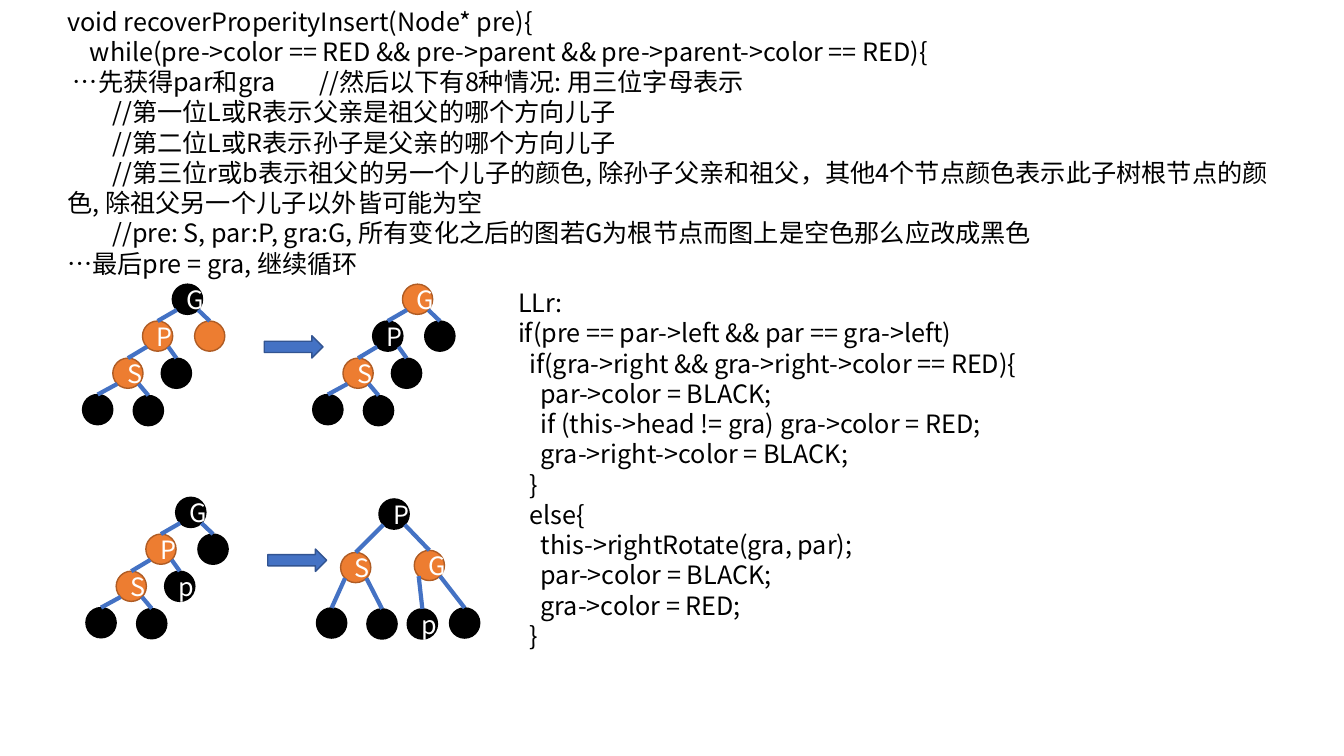
import lxml.etree
import pptx
import pptx.dml.color
import pptx.enum.shapes
import pptx.enum.text
import pptx.oxml.ns
import pptx.util

Pt = pptx.util.Pt
RGBColor = pptx.dml.color.RGBColor
SHAPE = pptx.enum.shapes.MSO_SHAPE
qn = pptx.oxml.ns.qn

BLACK = RGBColor(0x00, 0x00, 0x00)
WHITE = RGBColor(0xFF, 0xFF, 0xFF)
ORANGE = RGBColor(0xED, 0x7D, 0x31)
ORANGE_EDGE = RGBColor(0xAF, 0x5C, 0x24)
BLUE = RGBColor(0x44, 0x72, 0xC4)
BLUE_EDGE = RGBColor(0x32, 0x54, 0x91)

FONT = "Noto Sans CJK SC"
FONT_FORMAT = {"name": FONT, "size": Pt(18)}
FRAME_FORMAT = {
    "word_wrap": True,
    "auto_size": pptx.enum.text.MSO_AUTO_SIZE.SHAPE_TO_FIT_TEXT,
}
SPACE = 4.03
COMMENT_TAB = 178
NODE = 21.6
DIAGONAL = 0.7071

INTRO = [
    (0, "void recoverProperityInsert(Node* pre){"),
    (4, "while(pre->color == RED && pre->parent && pre->parent->color == RED){"),
    (1, "…先获得par和gra\t//然后以下有8种情况: 用三位字母表示"),
    (8, "//第一位L或R表示父亲是祖父的哪个方向儿子"),
    (8, "//第二位L或R表示孙子是父亲的哪个方向儿子"),
    (8, "//第三位r或b表示祖父的另一个儿子的颜色, 除孙子父亲和祖父，其他4个节点颜色"
        "表示此子树根节点的颜色, 除祖父另一个儿子以外皆可能为空"),
    (8, "//pre: S, par:P, gra:G, 所有变化之后的图若G为根节点而图上是空色那么应改成黑色"),
    (0, "…最后pre = gra, 继续循环"),
]
CASE_LL = [
    (0, "LLr:"),
    (0, "if(pre == par->left && par == gra->left)"),
    (2, "if(gra->right && gra->right->color == RED){"),
    (4, "par->color = BLACK;"),
    (4, "if (this->head != gra) gra->color = RED;"),
    (4, "gra->right->color = BLACK;"),
    (2, "}"),
    (2, "else{"),
    (4, "this->rightRotate(gra, par);"),
    (4, "par->color = BLACK;"),
    (4, "gra->color = RED;"),
    (2, "}"),
]

SKEWED = {
    "offsets": [(0, 0), (-21.3, 26.3), (15.9, 26.3), (-42.5, 52.8),
                (-7.9, 52.8), (-64.1, 78.8), (-27.9, 79.5)],
    "edges": [(0, 1), (0, 2), (1, 3), (1, 4), (3, 5), (3, 6)],
}
BALANCED = {
    "offsets": [(0, 0), (-27.4, 38.2), (25.2, 36.7), (-44.6, 77.8),
                (-8.6, 78.5), (20.2, 78.5), (50.4, 77.8)],
    "edges": [(0, 1), (0, 2), (1, 3), (1, 4), (2, 5), (2, 6)],
}
TREES = [
    (SKEWED, 123.1, 203, ["G", "P", "", "S", "", "", ""], {1, 2, 3}),
    (SKEWED, 287.5, 203, ["G", "P", "", "S", "", "", ""], {0, 3}),
    (SKEWED, 125.5, 355.2, ["G", "P", "", "S", "p", "", ""], {1, 3}),
    (BALANCED, 270.7, 356.4, ["P", "S", "G", "", "", "p", ""], {1, 2}),
]


def apply(target, values):
    for name, value in values.items():
        setattr(target, name, value)


def add_text(p, text, color):
    r = p.add_run()
    r.text = text
    apply(r.font, FONT_FORMAT)
    r.font.color.rgb = color
    ea = lxml.etree.SubElement(r.font._element, qn("a:ea"))
    ea.set("typeface", FONT)


def add_tab_stop(p, position):
    tabs = lxml.etree.SubElement(p._p.get_or_add_pPr(), qn("a:tabLst"))
    tab = lxml.etree.SubElement(tabs, qn("a:tab"))
    tab.set("pos", str(Pt(position)))
    tab.set("algn", "l")


def add_code(shapes, lines, x, y, w, h):
    tf = shapes.add_textbox(Pt(x), Pt(y), Pt(w), Pt(h)).text_frame
    apply(tf, FRAME_FORMAT)
    for i, (spaces, text) in enumerate(lines):
        p = tf.paragraphs[0] if i == 0 else tf.add_paragraph()
        pPr = p._p.get_or_add_pPr()
        pPr.set("marL", "0")
        pPr.set("indent", str(Pt(spaces * SPACE)))
        if "\t" in text:
            add_tab_stop(p, COMMENT_TAB)
        add_text(p, text, BLACK)


def add_filled(shapes, kind, x, y, w, h, fill, edge):
    sp = shapes.add_shape(kind, Pt(x), Pt(y), Pt(w), Pt(h))
    sp.shadow.inherit = False
    sp.fill.solid()
    sp.fill.fore_color.rgb = fill
    sp.line.color.rgb = edge
    sp.line.width = Pt(1)
    return sp


def add_node(shapes, x, y, label, is_red):
    fill, edge = (ORANGE, ORANGE_EDGE) if is_red else (BLACK, BLACK)
    sp = add_filled(shapes, SHAPE.OVAL, x, y, NODE, NODE, fill, edge)
    if label:
        tf = sp.text_frame
        tf.vertical_anchor = pptx.enum.text.MSO_ANCHOR.MIDDLE
        p = tf.paragraphs[0]
        p.alignment = pptx.enum.text.PP_ALIGN.CENTER
        add_text(p, label, WHITE)
    return sp


def add_edge(shapes, parent, child):
    reach = DIAGONAL * parent.width / 2
    side = -1 if child.left < parent.left else 1
    x = int(parent.left + parent.width / 2 + side * reach)
    y = int(parent.top + parent.height / 2 + reach)
    line = shapes.add_connector(
        pptx.enum.shapes.MSO_CONNECTOR.STRAIGHT, x, y, x, y)
    line.end_connect(child, 0)
    line.line.color.rgb = BLUE
    line.line.width = Pt(3)
    lxml.etree.SubElement(line._element.spPr, qn("a:effectLst"))


def add_tree(shapes, layout, x, y, labels, reds):
    group = shapes.add_group_shape().shapes
    nodes = [
        add_node(group, x + dx, y + dy, label, i in reds)
        for i, ((dx, dy), label) in enumerate(zip(layout["offsets"], labels))
    ]
    for parent, child in layout["edges"]:
        add_edge(group, nodes[parent], nodes[child])


def add_step_arrow(shapes, x, y):
    add_filled(shapes, SHAPE.RIGHT_ARROW, x, y, 42, 16, BLUE, BLUE_EDGE)


def main():
    prs = pptx.Presentation()
    prs.slide_width, prs.slide_height = Pt(960), Pt(540)
    shapes = prs.slides.add_slide(prs.slide_layouts[6]).shapes
    add_code(shapes, INTRO, 41, 0.8, 878, 204)
    add_code(shapes, CASE_LL, 363, 201.8, 482, 269)
    for tree in TREES:
        add_tree(shapes, *tree)
    add_step_arrow(shapes, 188.8, 239.8)
    add_step_arrow(shapes, 191.3, 392.2)
    prs.save("out.pptx")


if __name__ == "__main__":
    main()
